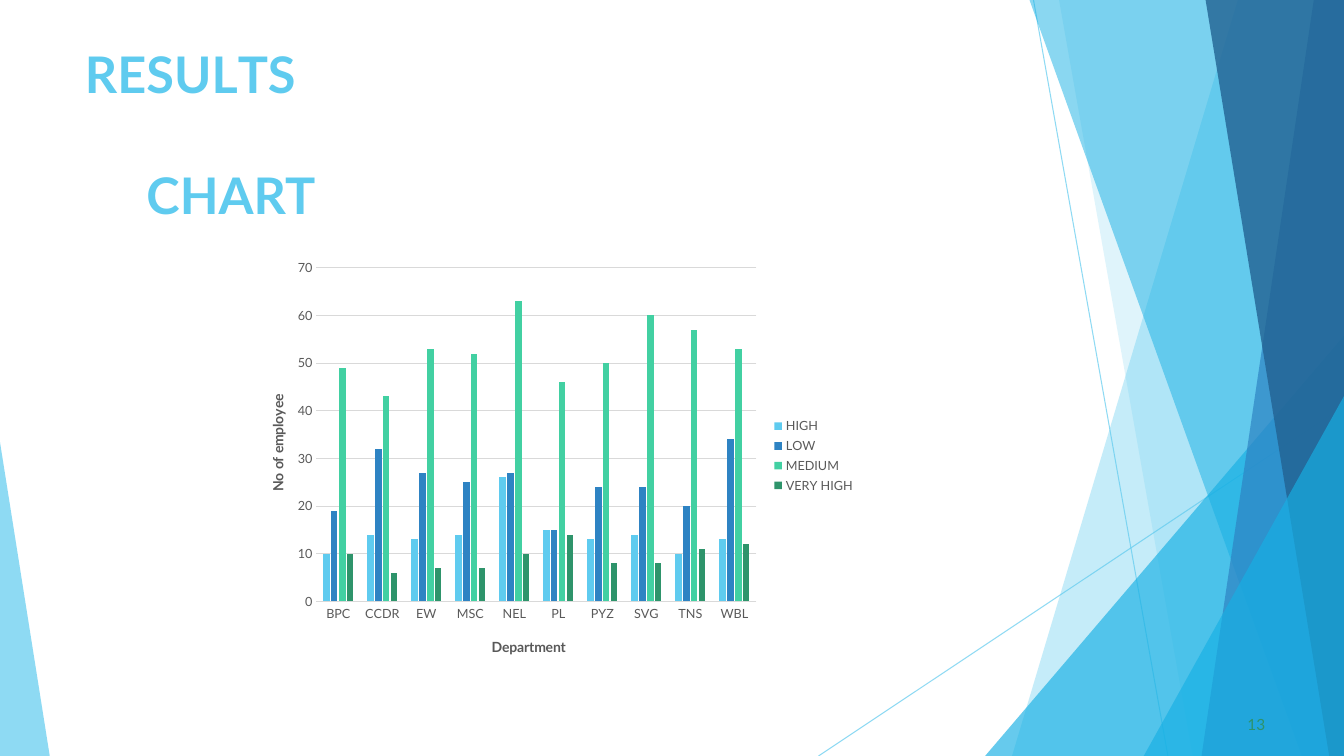
from lxml import etree
from pptx import Presentation
from pptx.chart.data import CategoryChartData
from pptx.dml.color import RGBColor
from pptx.enum.chart import XL_CHART_TYPE, XL_LEGEND_POSITION, XL_TICK_MARK
from pptx.enum.shapes import MSO_CONNECTOR, MSO_SHAPE
from pptx.enum.text import MSO_ANCHOR
from pptx.oxml.ns import qn
from pptx.util import Inches, Pt

BARS = XL_CHART_TYPE.COLUMN_CLUSTERED
RIGHT = XL_LEGEND_POSITION.RIGHT
NO_TICK = XL_TICK_MARK.NONE
STRAIGHT = MSO_CONNECTOR.STRAIGHT
WEDGE = MSO_SHAPE.ISOSCELES_TRIANGLE
TOP = MSO_ANCHOR.TOP

SKY = RGBColor(0x5F, 0xCB, 0xEF)
CYAN = RGBColor(0x17, 0xB0, 0xE4)
BLUE = RGBColor(0x2E, 0x83, 0xC3)
NAVY = RGBColor(0x22, 0x62, 0x92)
MINT = RGBColor(0x42, 0xD0, 0xA2)
GREEN = RGBColor(0x2E, 0x94, 0x6B)
LEAF = RGBColor(0x2D, 0x93, 0x6B)
GREY = RGBColor(0x59, 0x59, 0x59)
PALE = RGBColor(0xD9, 0xD9, 0xD9)
FONT = "Lato"

deck = Presentation()
deck.slide_width, deck.slide_height = Inches(13.33), Inches(7.5)
W, H = deck.slide_width, deck.slide_height
slide = deck.slides.add_slide(deck.slide_layouts[6])
shapes = slide.shapes


def place(*shares):
    """Turn percent shares (x, y, x, y ...) of the slide into lengths."""
    return [int(n * (H if i % 2 else W) / 100) for i, n in enumerate(shares)]


def fade(shape, alpha):
    """Set the opacity, in percent, of a shape's colour."""
    for color in shape._element.spPr.iter(qn("a:srgbClr")):
        etree.SubElement(color, qn("a:alpha")).set("val", str(alpha * 1000))


# Thin lines behind the ribbons
for ends in [(76.9, 0, 86.9, 100), (100, 53.7, 60.9, 100)]:
    line = shapes.add_connector(STRAIGHT, *place(*ends))
    line.line.color.rgb = SKY
    line.line.width = Pt(0.75)
    fade(line, 70)
    etree.SubElement(line._element.spPr, qn("a:effectLst"))

# Ribbons: ("band", top x, foot x) or ("wedge", left, top, width, apex)
ribbons = [
    ("band", (92.1, 75.3), SKY, 36),
    ("band", (78.8, 88.75), SKY, 20),
    ("wedge", (73.3, 44.4, 26.7, 1), CYAN, 66),
    ("band", (76.6, 96.85), CYAN, 50),
    ("band", (97.75, 89.4), BLUE, 70),
    ("band", (89.7, 98.9), NAVY, 80),
    ("wedge", (85.1, 52.4, 14.9, 1), CYAN, 66),
    ("wedge", (0, 58.5, 3.7, 0), SKY, 70),
]
for kind, spots, color, alpha in ribbons:
    if kind == "band":
        head, foot = spots
        path = shapes.build_freeform(*place(head, 0))
        path.add_line_segments(
            [place(100, 0), place(100, 100), place(foot, 100)], close=True)
        shape = path.convert_to_shape()
    else:
        left, top, width, apex = spots
        shape = shapes.add_shape(WEDGE, *place(left, top, width, 100 - top))
        shape.adjustments[0] = apex
    shape.shadow.inherit = False
    shape.fill.solid()
    shape.fill.fore_color.rgb = color
    shape.line.fill.background()
    fade(shape, alpha)

# Title and slide number; each run is (text, letter spacing in 1/100 pt)
word = [("R", 0), ("E", -40), ("S", 10), ("U", -30), ("L", -400), ("TS", 0)]
texts = [
    # place, style, lines of (indent, space before, runs)
    ((6.25, 5.6, 46.3, 24.4), {"size": Pt(36), "bold": True}, SKY,
     [(0.01, 1.1, word), (0.62, 43.2, [("CHART", 0)])]),
    ((92.5, 94.4, 1.9, 2.8), {"size": Pt(11), "bold": False}, LEAF,
     [(0.04, 0.6, [("13", 10)])]),
]
for spot, style, color, lines in texts:
    frame = shapes.add_textbox(*place(*spot)).text_frame
    for key, value in {"margin_left": 0, "margin_right": 0, "margin_bottom": 0,
                       "margin_top": Inches(0.01), "word_wrap": True,
                       "vertical_anchor": TOP}.items():
        setattr(frame, key, value)
    for i, (indent, gap, runs) in enumerate(lines):
        para = frame.add_paragraph() if i else frame.paragraphs[0]
        para.space_before = Pt(gap)
        para._p.get_or_add_pPr().set("marL", str(Inches(indent)))
        for text, space in runs:
            run = para.add_run()
            run.text = text
            for key, value in {**style, "name": FONT}.items():
                setattr(run.font, key, value)
            run.font.color.rgb = color
            run.font._element.set("spc", str(space))

# Chart data
data = CategoryChartData()
data.categories = ["BPC", "CCDR", "EW", "MSC", "NEL",
                   "PL", "PYZ", "SVG", "TNS", "WBL"]
levels = [
    ("HIGH", SKY, [10, 14, 13, 14, 26, 15, 13, 14, 10, 13]),
    ("LOW", BLUE, [19, 32, 27, 25, 27, 15, 24, 24, 20, 34]),
    ("MEDIUM", MINT, [49, 43, 53, 52, 63, 46, 50, 60, 57, 53]),
    ("VERY HIGH", GREEN, [10, 6, 7, 7, 10, 14, 8, 8, 11, 12]),
]
for name, color, counts in levels:
    data.add_series(name, counts)
chart = shapes.add_chart(BARS, *place(18.13, 31.1, 46.25, 58.4), data).chart
chart.has_title = False
chart.font.name, chart.font.size = FONT, Pt(9)
chart.font.color.rgb = GREY
chart.has_legend = True
chart.legend.position = RIGHT
chart.legend.include_in_layout = False

# Bars
plot = chart.plots[0]
plot.vary_by_categories = False
plot.gap_width, plot.overlap = 219, -27
for bar, (name, color, counts) in zip(plot.series, levels):
    bar.format.fill.solid()
    bar.format.fill.fore_color.rgb = color

# Axes
base, scale = chart.category_axis, chart.value_axis
scale.minimum_scale, scale.maximum_scale, scale.major_unit = 0, 70, 10
scale.format.line.fill.background()
base.has_major_gridlines = False
scale.has_major_gridlines = True
for rule in (base.format.line, scale.major_gridlines.format.line):
    rule.color.rgb = PALE
    rule.width = Pt(0.75)

# Axis titles and plot area, set as shares of the chart
spots = []
for axis, text, left, top in [(base, "Department", 0.395, 0.905),
                              (scale, "No of employee", 0.035, 0.355)]:
    axis.major_tick_mark = axis.minor_tick_mark = NO_TICK
    title = axis.axis_title
    title.text_frame.text = text
    font = title.text_frame.paragraphs[0].runs[0].font
    font.name, font.size, font.bold = FONT, Pt(10), True
    font.color.rgb = GREY
    if axis is scale:
        body = title.text_frame._txBody.bodyPr
        body.set("rot", "-5400000")
        body.set("vert", "horz")
    spots.append((title._element, {"xMode": "edge", "yMode": "edge",
                                   "x": left, "y": top}))
spots.append((chart._chartSpace.chart.plotArea,
              {"layoutTarget": "inner", "xMode": "edge", "yMode": "edge",
               "x": 0.117, "y": 0.074, "w": 0.708, "h": 0.756}))
for owner, values in spots:
    for old in owner.findall(qn("c:layout")):
        owner.remove(old)
    layout = etree.Element(qn("c:layout"))
    manual = etree.SubElement(layout, qn("c:manualLayout"))
    for key, value in values.items():
        etree.SubElement(manual, qn("c:" + key)).set("val", str(value))
    owner.insert(0 if owner.find(qn("c:tx")) is None else 1, layout)

deck.save("out.pptx")
